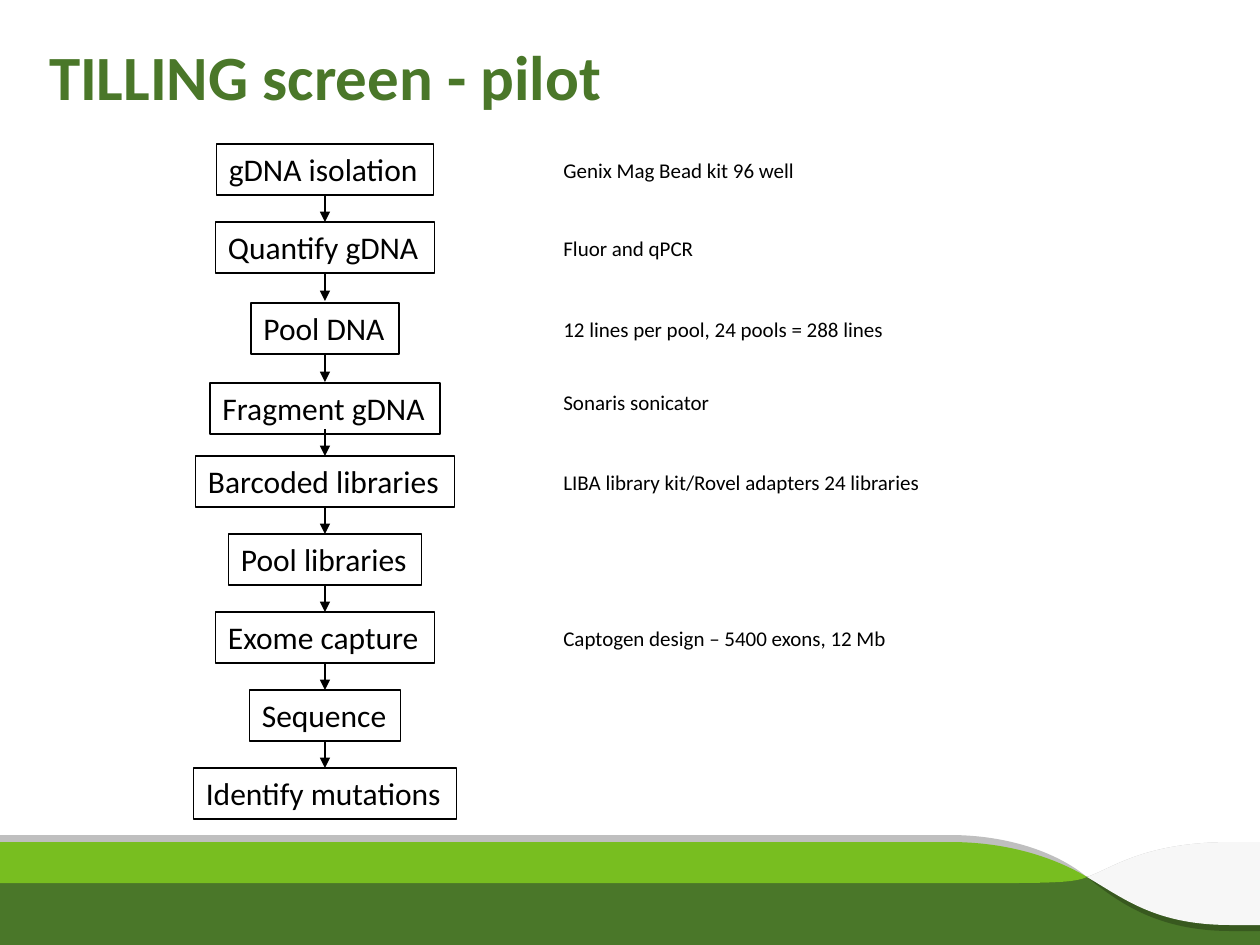
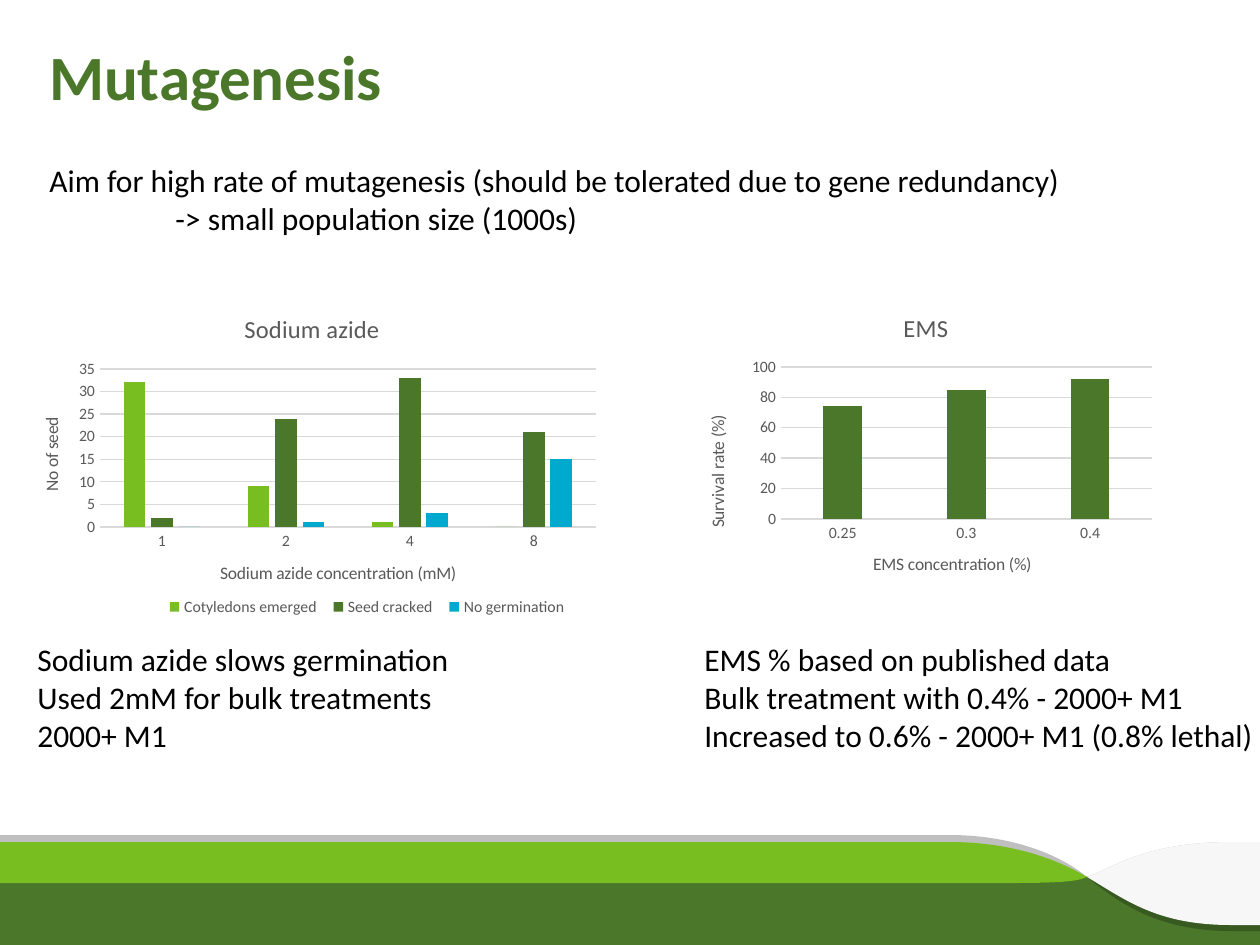
from lxml import etree
from pptx import Presentation
from pptx import util as u
from pptx.chart.data import CategoryChartData
from pptx.dml.color import RGBColor
from pptx.enum import chart as c
from pptx.enum import shapes, text
from pptx.oxml.ns import qn

PX = u.Inches(1) / 126
FONT = "Calibri"
BLACK, GREY, RULE = "000000", "595959", "D9D9D9"
GREEN, LIME, BLUE = "4A7729", "78BE20", "00A9CE"

# Footer band: colour and contours; a contour is a start point and its steps,
# each step a point or the three points of a Bézier curve
KNOT = (1087, 877)
WAVES = [
    ("BFBFBF", [
        ((1260, 842), [(1232, 842), ((1144, 842), (1113, 868), KNOT),
                       (1260, 877), (1260, 931), (1260, 842)]),
        ((950, 835), [(0, 835), (0, 877), KNOT,
                      ((1058, 853), (1009, 835), (950, 835))])]),
    ("38591F", [
        (KNOT, [(0, 877), (0, 883), (1002, 883),
                ((1058, 883), (1076, 882), KNOT)]),
        ((1260, 877), [KNOT, ((1118, 902), (1157, 931), (1231, 931)),
                       (1260, 931), (1260, 877)])]),
    (LIME, [
        (KNOT, [((1055, 858), (1009, 842), (950, 842)), (0, 842), (0, 883),
                (1002, 883), ((1058, 883), (1076, 882), KNOT)])]),
    ("F7F7F7", [
        ((1232, 842), [((1144, 842), (1113, 868), KNOT),
                       ((1126, 900), (1157, 925), (1231, 925)),
                       (1260, 925), (1260, 842), (1232, 842)])]),
]

# Workflow: step, top, width, end of the arrow that leads to it
STEPS = [
    ("gDNA isolation", 144, 217, None),
    ("Quantify gDNA", 222, 219, 222),
    ("Pool DNA", 303, 148, 301),
    ("Fragment gDNA", 383, 230, 382),
    ("Barcoded libraries", 456, 259, 456),
    ("Pool libraries", 534, 193, 534),
    ("Exome capture", 612, 219, 612),
    ("Sequence", 690, 151, 690),
    ("Identify mutations", 768, 263, 768),
]
STEP_CENTRE, STEP_HEIGHT, ARROW_LENGTH = 325, 51, 27

# Notes beside the steps: text, top, width
NOTES = [
    ("Genix Mag Bead kit 96 well", 151, 271),
    ("Fluor and qPCR", 229, 160),
    ("12 lines per pool, 24 pools = 288 lines", 310, 350),
    ("Sonaris sonicator", 383, 173),
    ("LIBA library kit/Rovel adapters 24 libraries", 463, 398),
    ("Captogen design – 5400 exons, 12 Mb", 619, 364),
]

# Mutagenesis text: lines, frame, indent of the lines after the first
PASSAGES = [
    (["Aim for high rate of mutagenesis (should be tolerated due to gene redundancy)",
      "-> small population size (1000s)"], (37, 155, 1048, 89), 126),
    (["Sodium azide slows germination", "Used 2mM for bulk treatments",
      "2000+ M1"], (25, 634, 441, 127), 0),
    (["EMS % based on published data", "Bulk treatment with 0.4% - 2000+ M1",
      "Increased to 0.6% - 2000+ M1 (0.8% lethal)"], (692, 634, 581, 127), 0),
]

# Charts: places are on the slide, in the order title, category title,
# value title, plot, legend
CHARTS = [
    dict(frame=(15, 293, 593, 354), title="Sodium azide",
         category_title="Sodium azide concentration (mM)",
         value_title="No of seed", top=35, unit=5,
         categories=["1", "2", "4", "8"],
         series=[("Cotyledons emerged", [32, 9, 1, 0], LIME),
                 ("Seed cracked", [2, 24, 33, 21], GREEN),
                 ("No germination", [0, 1, 3, 15], BLUE)],
         places=[(240, 307), (217, 558), (37, 414), (100, 369, 496, 158),
                 (158, 593, 418, 28)]),
    dict(frame=(689, 293, 471, 307), title="EMS",
         category_title="EMS concentration (%)",
         value_title="Survival rate (%)", top=100, unit=20,
         categories=["0.25", "0.3", "0.4"],
         series=[("Series 1", [74, 85, 92], GREEN)],
         places=[(899, 306), (870, 549), (703, 412), (781, 367, 371, 152)]),
]


def px(*lengths):
    return [u.Emu(round(length * PX)) for length in lengths]


def rgb(value):
    return RGBColor.from_string(value)


def style(font, size, color, bold=False):
    font.name, font.size, font.bold = FONT, u.Pt(size), bold
    font.color.rgb = rgb(color)


def fill_plain(shape, color):
    shape.shadow.inherit = False
    shape.fill.solid()
    shape.fill.fore_color.rgb = rgb(color)
    shape.line.fill.background()


def draw_line(line, color):
    line.color.rgb = rgb(color)
    line.width = u.Pt(0.75)


def add_text(page, lines, frame, size=18, color=BLACK, bold=False,
             inset=True, grow=True, outline=False, indent=0):
    if outline:
        box = page.shapes.add_shape(shapes.MSO_SHAPE.RECTANGLE, *px(*frame))
        box.shadow.inherit = False
        box.fill.background()
        draw_line(box.line, BLACK)
    else:
        box = page.shapes.add_textbox(*px(*frame))
    body = box.text_frame
    body.vertical_anchor = text.MSO_ANCHOR.TOP
    body.word_wrap = not grow
    if grow:
        body.auto_size = text.MSO_AUTO_SIZE.SHAPE_TO_FIT_TEXT
    if not inset:
        body.margin_left = body.margin_right = 0
        body.margin_top = body.margin_bottom = 0
    for number, line in enumerate(lines):
        para = body.add_paragraph() if number else body.paragraphs[0]
        para.alignment = text.PP_ALIGN.LEFT
        if number and indent:
            para._p.get_or_add_pPr().set("marL", str(px(indent)[0]))
        span = para.add_run()
        span.text = line
        style(span.font, size, color, bold)


def add_wave(page, color, contours):
    """Filled outline; corners are laid first, then joined into curves."""
    builder = page.shapes.build_freeform(*px(*contours[0][0]))
    all_steps = []
    for number, (start, steps) in enumerate(contours):
        if number:
            builder.move_to(*px(*start))
        steps = [step if isinstance(step[0], tuple) else (step,) for step in steps]
        builder.add_line_segments([px(*point) for step in steps for point in step],
                                  close=False)
        all_steps += steps
    wave = builder.convert_to_shape()
    fill_plain(wave, color)
    corners = iter(list(wave._element.iter(qn("a:lnTo"))))
    for step in all_steps:
        first, *others = [next(corners) for _ in step]
        if others:
            curve = etree.Element(qn("a:cubicBezTo"))
            first.addprevious(curve)
            for corner in (first, *others):
                curve.append(corner[0])
                corner.getparent().remove(corner)


def add_band(page):
    """Draw the footer band and hand it to the layout all pages share."""
    base = page.shapes.add_shape(shapes.MSO_SHAPE.RECTANGLE, *px(0, 877, 1260, 68))
    fill_plain(base, GREEN)
    for color, contours in WAVES:
        add_wave(page, color, contours)
    for number, shape in enumerate(list(page.shapes)):
        shape._element.nvSpPr.cNvPr.set("id", str(100 + number))
        page.slide_layout.shapes._spTree.append(shape._element)


def add_page(deck):
    return deck.slides.add_slide(deck.slide_layouts[6])


def add_heading(page, heading):
    add_text(page, [heading], (49, 38, 1166, 117), size=36, color=GREEN,
             bold=True, inset=False, grow=False)


def add_arrow(page, x, top, bottom):
    arrow = page.shapes.add_connector(shapes.MSO_CONNECTOR.STRAIGHT,
                                      *px(x, top, x, bottom))
    draw_line(arrow.line, BLACK)
    etree.SubElement(arrow.line._get_or_add_ln(), qn("a:tailEnd"), type="triangle")
    etree.SubElement(arrow._element.spPr, qn("a:effectLst"))


def set_title(owner, wording, size):
    body = owner.text_frame
    body.text = wording
    style(body.paragraphs[0].runs[0].font, size, GREY)
    return body


def place(element, frame, spot):
    """Fix a chart part at a spot given on the slide."""
    for old in element.findall(qn("c:layout")):
        element.remove(old)
    layout = etree.Element(qn("c:layout"))
    manual = etree.SubElement(layout, qn("c:manualLayout"))
    is_plot = element.tag == qn("c:plotArea")
    if is_plot:
        etree.SubElement(manual, qn("c:layoutTarget"), val="inner")
    for mode in ("xMode", "yMode"):
        etree.SubElement(manual, qn("c:" + mode), val="edge")
    left, top, width, height = frame
    shares = [(spot[0] - left) / width, (spot[1] - top) / height]
    shares += [length / whole for length, whole in zip(spot[2:], (width, height))]
    for name, share in zip("xywh", shares):
        etree.SubElement(manual, qn("c:" + name), val=f"{share:.4f}")
    element.insert(0 if is_plot else 1, layout)


def add_column_chart(page, frame, title, category_title, value_title, top, unit,
                     categories, series, places):
    data = CategoryChartData()
    data.categories = categories
    for name, values, _ in series:
        data.add_series(name, values)
    chart = page.shapes.add_chart(c.XL_CHART_TYPE.COLUMN_CLUSTERED,
                                  *px(*frame), data).chart
    style(chart.font, 10, BLACK)
    chart.has_title = True
    set_title(chart.chart_title, title, 14)

    plot = chart.plots[0]
    plot.gap_width, plot.overlap, plot.vary_by_categories = 219, -27, False
    for bars, (_, _, color) in zip(plot.series, series):
        bars.format.fill.solid()
        bars.format.fill.fore_color.rgb = rgb(color)

    across, up = chart.category_axis, chart.value_axis
    for axis, wording in ((across, category_title), (up, value_title)):
        axis.major_tick_mark = axis.minor_tick_mark = c.XL_TICK_MARK.NONE
        style(axis.tick_labels.font, 9, GREY)
        body = set_title(axis.axis_title, wording, 10)
    body._txBody.bodyPr.set("rot", "-5400000")
    body._txBody.bodyPr.set("vert", "horz")
    up.minimum_scale, up.maximum_scale, up.major_unit = 0, top, unit
    up.has_major_gridlines = True
    up.format.line.fill.background()
    draw_line(across.format.line, RULE)
    draw_line(up.major_gridlines.format.line, RULE)

    chart.has_legend = len(series) > 1
    if chart.has_legend:
        chart.legend.position = c.XL_LEGEND_POSITION.BOTTOM
        chart.legend.include_in_layout = False
        style(chart.legend.font, 9, GREY)

    parts = [part for tag in ("c:title", "c:plotArea", "c:legend")
             for part in chart._chartSpace.iter(qn(tag))]
    for part, spot in zip(parts, places):
        place(part, frame, spot)


def main():
    deck = Presentation()
    deck.slide_width, deck.slide_height = px(1260, 945)

    # Workflow
    page = add_page(deck)
    add_band(page)
    add_heading(page, "TILLING screen - pilot")
    for step, top, width, arrow_end in STEPS:
        add_text(page, [step], (STEP_CENTRE - width / 2, top, width, STEP_HEIGHT),
                 outline=True)
        if arrow_end:
            add_arrow(page, STEP_CENTRE, arrow_end - ARROW_LENGTH, arrow_end)
    for note, top, width in NOTES:
        add_text(page, [note], (551, top, width, 38), size=12)

    # Mutagenesis
    page = add_page(deck)
    add_heading(page, "Mutagenesis")
    for lines, frame, indent in PASSAGES:
        add_text(page, lines, frame, indent=indent)
    for chart in CHARTS:
        add_column_chart(page, **chart)

    deck.save("out.pptx")


if __name__ == "__main__":
    main()
